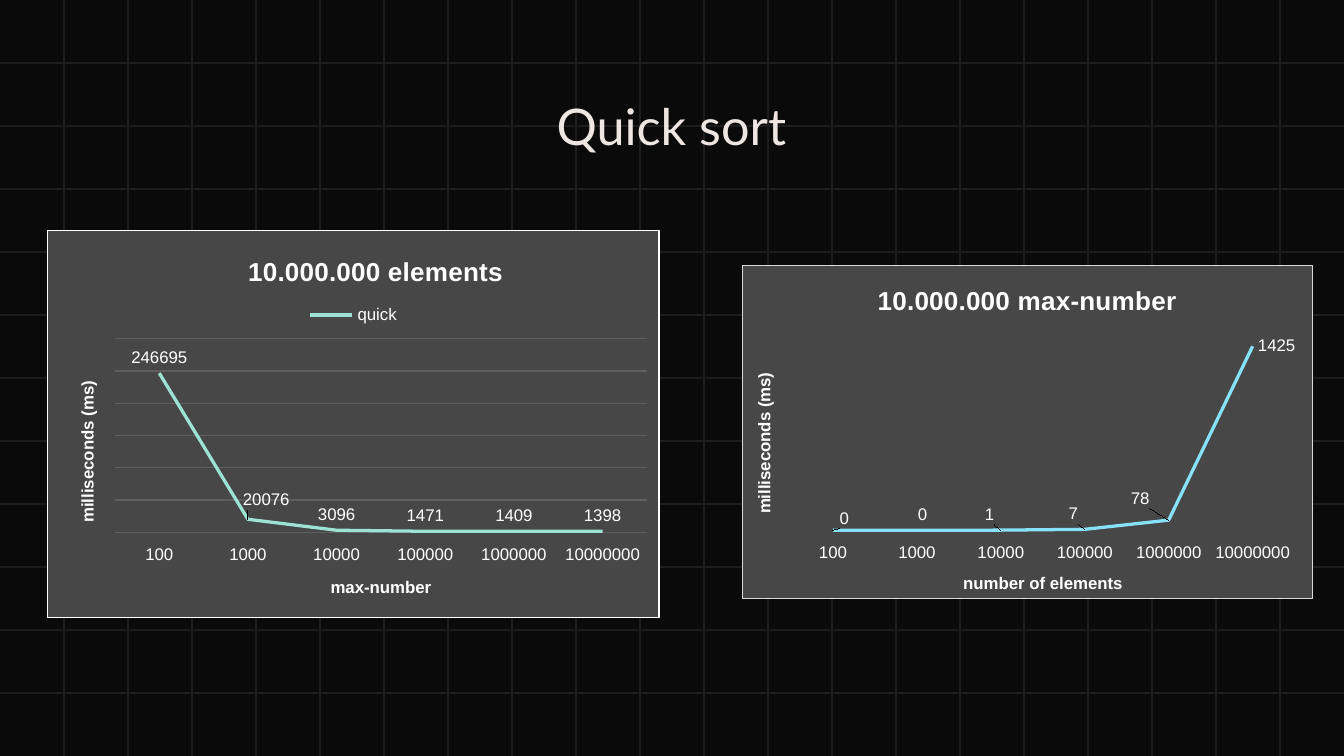
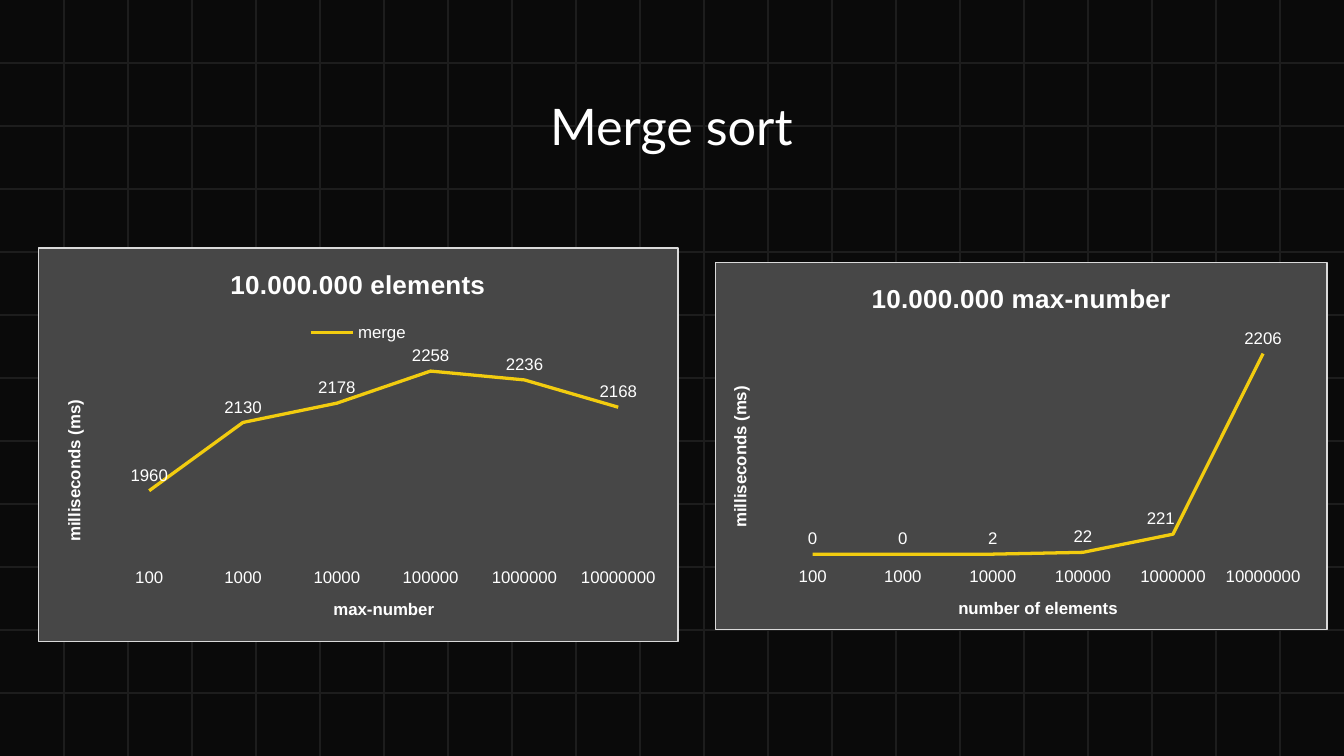
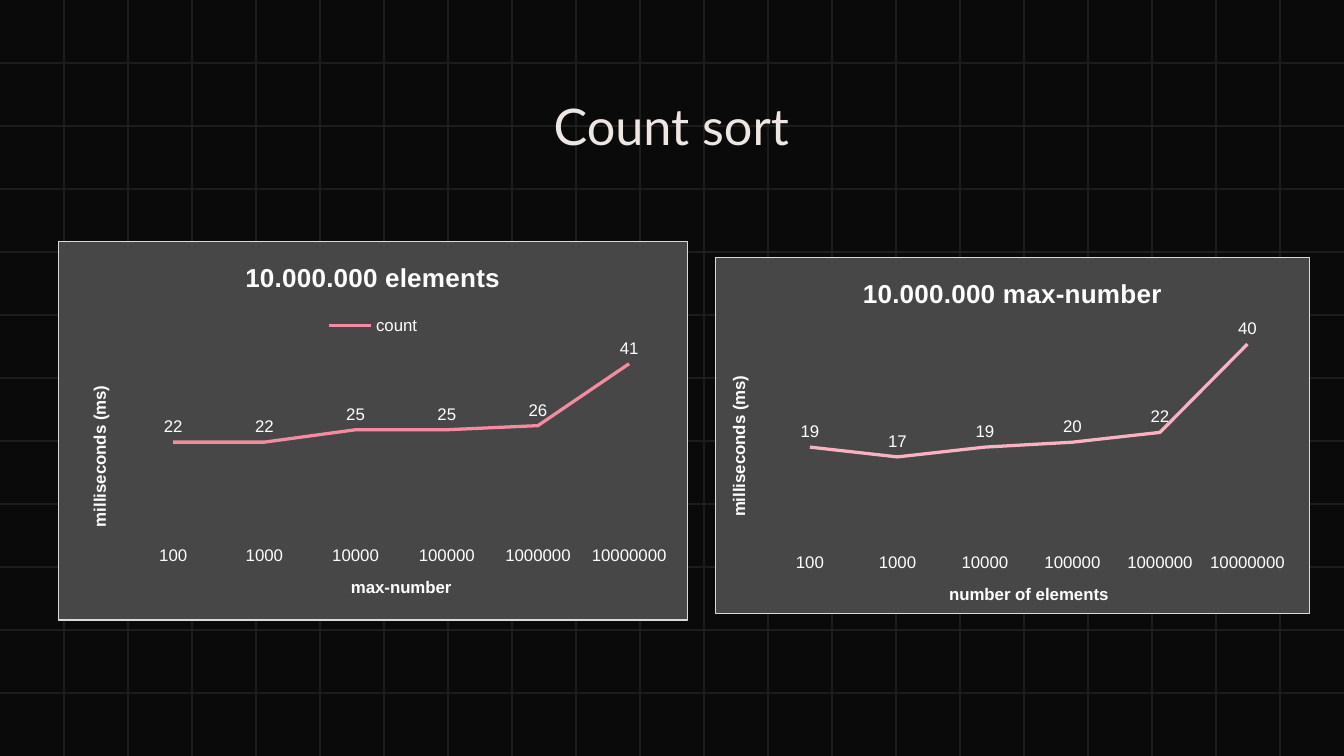
"""Build three slides of line charts that compare sorting run times."""
import pptx
import pptx.chart.data
import pptx.dml.color
import pptx.enum.chart
import pptx.enum.shapes
import pptx.enum.text
import pptx.oxml
import pptx.oxml.ns
import pptx.util
from lxml import etree

Inches = pptx.util.Inches
Pt = pptx.util.Pt
qn = pptx.oxml.ns.qn
LabelPosition = pptx.enum.chart.XL_LABEL_POSITION

SIZES = ["100", "1000", "10000", "100000", "1000000", "10000000"]
WHITE, CREAM, GREY = "FFFFFF", "EEE6E2", "DADADA"


def color(value):
    return pptx.dml.color.RGBColor.from_string(value)


def set_layout(parent, index, **values):
    for old in parent.findall(qn("c:layout")):
        parent.remove(old)
    layout = etree.Element(qn("c:layout"))
    manual = etree.SubElement(layout, qn("c:manualLayout"))
    for name, value in values.items():
        etree.SubElement(manual, qn("c:" + name), val=str(value))
    parent.insert(index, layout)


class Deck:
    BACKGROUND, GRID, PANEL, GRIDLINE = "0A0A0A", "1D1D1D", "474747", "5E5E5E"
    WIDTH, HEIGHT = 10, 5.625
    COLUMNS, ROWS = 21, 12

    def __init__(self):
        self.presentation = pptx.Presentation()
        self.presentation.slide_width = Inches(self.WIDTH)
        self.presentation.slide_height = Inches(self.HEIGHT)
        self.layout = self.presentation.slide_layouts[5]
        self.layout.background.fill.solid()
        self.layout.background.fill.fore_color.rgb = color(self.BACKGROUND)
        self.slide = None

    def add_slide(self, title, title_color):
        first = self.slide is None
        self.slide = self.presentation.slides.add_slide(self.layout)
        if first:
            self.add_grid()
        shape = self.slide.shapes.title
        shape.left, shape.top = Inches(1.92), Inches(0.61)
        shape.width, shape.height = Inches(6.15), Inches(1.09)
        frame = shape.text_frame
        frame.word_wrap = True
        frame.auto_size = pptx.enum.text.MSO_AUTO_SIZE.NONE
        frame.vertical_anchor = pptx.enum.text.MSO_ANCHOR.TOP
        frame.margin_left = frame.margin_right = Inches(0.1)
        frame.margin_top = frame.margin_bottom = Inches(0.1)
        self.add_text(frame, title, 27, title_color, "Lato")

    def add_text(self, frame, text, size, text_color, font="Arial", bold=False):
        paragraph = frame.paragraphs[0]
        paragraph.alignment = pptx.enum.text.PP_ALIGN.CENTER
        run = paragraph.add_run()
        run.text = text
        self.set_font(run.font, size, text_color, font, bold)

    def set_font(self, font, size, text_color=WHITE, name="Arial", bold=False):
        font.name, font.size, font.bold = name, Pt(size), bold
        font.color.rgb = color(text_color)

    def add_grid(self):
        for row in range(1, self.ROWS):
            y = self.HEIGHT * row / self.ROWS
            self.add_grid_line(0, y, self.WIDTH, y)
        for column in range(1, self.COLUMNS):
            x = self.WIDTH * column / self.COLUMNS
            self.add_grid_line(x, 0, x, self.HEIGHT)

    def add_grid_line(self, *ends):
        connector = self.slide.shapes.add_connector(
            pptx.enum.shapes.MSO_CONNECTOR.STRAIGHT, *[Inches(end) for end in ends])
        connector.line.color.rgb = color(self.GRID)
        connector.line.width = Pt(0.75)
        properties = connector.element.find(qn("p:spPr"))
        etree.SubElement(properties, qn("a:effectLst"))
        self.layout.shapes.element.append(connector.element)

    def add_chart(self, box, plot, title, axis_title, name, values, line_color,
                  scale, legend=False, gridlines=False, border=GREY, nudges=None):
        data = pptx.chart.data.CategoryChartData()
        data.categories = SIZES
        data.add_series(name, values)
        chart = self.slide.shapes.add_chart(
            pptx.enum.chart.XL_CHART_TYPE.LINE,
            *[Inches(length) for length in box], data).chart
        self.set_font(chart.font, 10)
        chart.has_title = True
        self.add_text(chart.chart_title.text_frame, title, 14, WHITE, bold=True)
        chart.has_legend = legend
        if legend:
            chart.legend.position = pptx.enum.chart.XL_LEGEND_POSITION.TOP
            chart.legend.include_in_layout = False
            self.set_font(chart.legend.font, 9)
        self.style_axes(chart, axis_title, scale, gridlines)
        self.style_series(chart, line_color, nudges or {})
        self.style_panel(chart, border)
        x, y, width, height = plot
        area = chart.element.find(".//" + qn("c:plotArea"))
        set_layout(area, 0, layoutTarget="inner", xMode="edge", yMode="edge",
                   x=x, y=y, w=width, h=height)
        return chart

    def style_axes(self, chart, axis_title, scale, gridlines):
        category, value = chart.category_axis, chart.value_axis
        for axis, text in ((category, axis_title), (value, "milliseconds (ms)")):
            axis.has_title = True
            self.add_text(axis.axis_title.text_frame, text, 9, WHITE, bold=True)
            axis.has_major_gridlines = False
        category.major_tick_mark = pptx.enum.chart.XL_TICK_MARK.NONE
        category.tick_label_position = pptx.enum.chart.XL_TICK_LABEL_POSITION.LOW
        category.format.line.fill.background()
        self.set_font(category.tick_labels.font, 9)
        body = value.axis_title.element.find(".//" + qn("a:bodyPr"))
        body.set("rot", "-5400000")
        body.set("vert", "horz")
        value.minimum_scale, value.maximum_scale, value.major_unit = scale
        value.visible = False
        if gridlines:
            value.has_major_gridlines = True
            value.major_gridlines.format.line.color.rgb = color(self.GRIDLINE)
            value.major_gridlines.format.line.width = Pt(0.75)

    def style_series(self, chart, line_color, nudges):
        plot = chart.plots[0]
        plot.vary_by_categories = False
        series = plot.series[0]
        series.smooth = False
        series.format.line.color.rgb = color(line_color)
        series.format.line.width = Pt(1.75)
        labels = series.data_labels
        labels.show_value = True
        labels.position = LabelPosition.ABOVE
        self.set_font(labels.font, 9)
        for index, (x, y, position) in nudges.items():
            label = series.points[index].data_label
            self.set_font(label.font, 9)
            label.position = position
            element = chart.element.xpath(f".//c:dLbl[c:idx/@val='{index}']")[0]
            set_layout(element, 1, x=x, y=y)

    def style_panel(self, chart, border):
        properties = pptx.oxml.parse_xml(
            f'<c:spPr {pptx.oxml.ns.nsdecls("c", "a")}>'
            f'<a:solidFill><a:srgbClr val="{self.PANEL}"/></a:solidFill>'
            f'<a:ln w="{Pt(0.75)}"><a:solidFill><a:srgbClr val="{border}"/>'
            '</a:solidFill></a:ln></c:spPr>')
        chart.element.find(qn("c:chart")).addnext(properties)

    def add_elements_chart(self, box, plot, *series, **options):
        return self.add_chart(box, plot, "10.000.000 elements", "max-number",
                              *series, legend=True, **options)

    def add_maximum_chart(self, box, *series, **options):
        return self.add_chart(box, (0.085, 0.175, 0.884, 0.62),
                              "10.000.000 max-number", "number of elements",
                              "Series 1", *series, **options)


ABOVE, RIGHT = LabelPosition.ABOVE, LabelPosition.RIGHT
deck = Deck()

deck.add_slide("Quick sort", CREAM)
quick_chart = deck.add_elements_chart(
    (0.35, 1.71, 4.56, 2.89), (0.11, 0.28, 0.87, 0.5),
    "quick", [246695, 20076, 3096, 1471, 1409, 1398], "9CE3D3",
    (0, 300000, 50000), gridlines=True, border=WHITE,
    nudges={1: (0.03, -0.01, ABOVE)})
set_layout(quick_chart.chart_title.element, 1,
           xMode="edge", yMode="edge", x=0.32, y=0.05)
deck.add_maximum_chart(
    (5.52, 1.97, 4.25, 2.49), [0, 0, 1, 7, 78, 1425], "85E2F9", (0, 1600, 200),
    nudges={0: (0.02, 0.01, ABOVE), 1: (0.01, 0, ABOVE), 2: (-0.02, 0, ABOVE),
            3: (-0.02, 0, ABOVE), 4: (-0.05, -0.02, ABOVE), 5: (0, 0, RIGHT)})

deck.add_slide("Merge sort", WHITE)
deck.add_elements_chart(
    (0.28, 1.84, 4.77, 2.94), (0.1, 0.27, 0.88, 0.51),
    "merge", [1960, 2130, 2178, 2258, 2236, 2168], "F2CC0F", (1800, 2300, 100))
deck.add_maximum_chart(
    (5.32, 1.95, 4.56, 2.74), [0, 0, 2, 22, 221, 2206], "F2CC0F", (0, 2500, 500),
    nudges={4: (-0.02, 0, ABOVE)})

deck.add_slide("Count sort", CREAM)
deck.add_elements_chart(
    (0.43, 1.79, 4.69, 2.83), (0.11, 0.28, 0.87, 0.49),
    "count", [22, 22, 25, 25, 26, 41], "F58BA1", (0, 45, 5))
deck.add_maximum_chart(
    (5.32, 1.91, 4.43, 2.66), [19, 17, 19, 20, 22, 40], "F8B2C1", (0, 45, 5))

deck.presentation.save("out.pptx")
